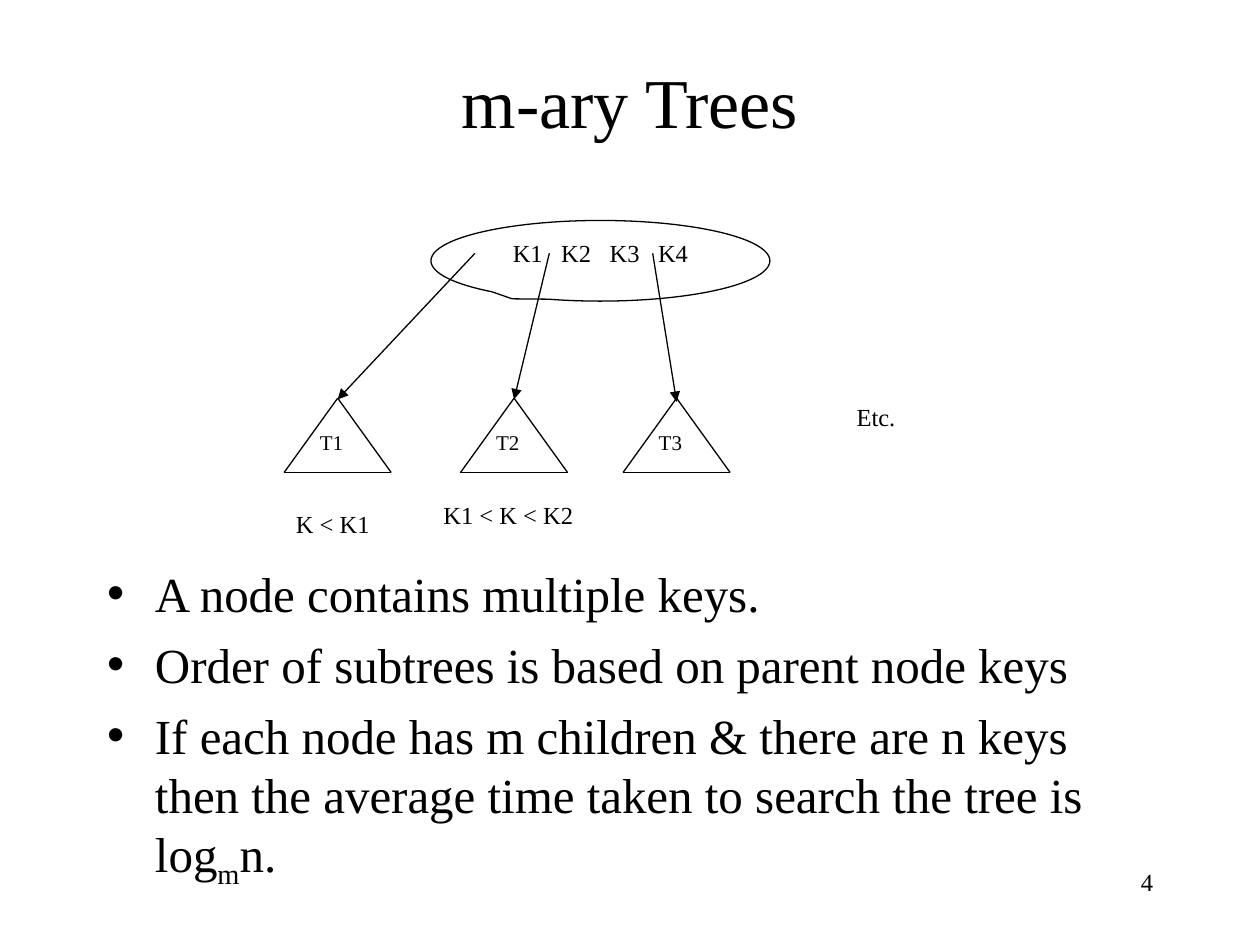
import pptx
import pptx.util
import pptx.dml.color
import pptx.enum.shapes
import pptx.enum.text
import pptx.oxml.ns
import lxml.etree

SHAPE = pptx.enum.shapes.MSO_SHAPE
ALIGN = pptx.enum.text.PP_ALIGN
ANCHOR = pptx.enum.text.MSO_ANCHOR
COLS, ROWS = 100, 75


def rgb(value):
    """Turn a hex string into a colour."""
    return pptx.dml.color.RGBColor.from_string(value)


def sub(parent, tag, **attrs):
    """Append a DrawingML child element."""
    return lxml.etree.SubElement(parent, pptx.oxml.ns.qn(tag), **attrs)


class Page:
    """Style and current slide, measured in grid columns and rows."""

    font, ink, paper, line_width = "Times New Roman", "000000", "FFFFFF", 0.74

    def __init__(self, prs):
        """Add a slide with title and body placeholders."""
        self.cell_w, self.cell_h = prs.slide_width / COLS, prs.slide_height / ROWS
        self.s = prs.slides.add_slide(prs.slide_layouts[1])

    def box(self, x, y, w, h):
        """Convert grid values to slide lengths."""
        return (round(x * self.cell_w), round(y * self.cell_h),
                round(w * self.cell_w), round(h * self.cell_h))

    def format(self, sp, size, align, anchor=ANCHOR.TOP):
        """Apply font, alignment and anchor to all text of a shape."""
        tf = sp.text_frame
        tf.word_wrap = True
        tf.auto_size = pptx.enum.text.MSO_AUTO_SIZE.NONE
        tf.vertical_anchor = anchor
        for p in tf.paragraphs:
            p.alignment = align
            for r in p.runs:
                r.font.name = self.font
                r.font.size = pptx.util.Pt(size)
                r.font.color.rgb = rgb(self.ink)

    def place(self, sp, x, y, w, h):
        """Move a placeholder onto the grid."""
        sp.left, sp.top, sp.width, sp.height = self.box(x, y, w, h)

    def title(self, text, *at):
        """Fill the title placeholder."""
        sp = self.s.shapes.title
        self.place(sp, *at)
        sp.text_frame.text = text
        self.format(sp, 40, ALIGN.CENTER, ANCHOR.MIDDLE)

    def bullets(self, items, *at):
        """Fill the body placeholder; an item is a list of (text, baseline)."""
        sp = self.s.placeholders[1]
        self.place(sp, *at)
        tf = sp.text_frame
        for i, item in enumerate(items):
            p = tf.add_paragraph() if i else tf.paragraphs[0]
            p.space_before = pptx.util.Pt(7)
            indent = pptx.util.Inches(0.38)
            pPr = p._p.get_or_add_pPr()
            pPr.set("marL", str(indent))
            pPr.set("indent", str(-indent))
            sub(pPr, "a:buChar", char="\u2022")
            for text, baseline in item:
                r = p.add_run()
                r.text = text
                if baseline:
                    r._r.get_or_add_rPr().set("baseline", str(baseline * 1000))
        self.format(sp, 28, ALIGN.LEFT)

    def label(self, text, *at, size=14, align=ALIGN.LEFT):
        """Add a text box."""
        sp = self.s.shapes.add_textbox(*self.box(*at))
        sp.text_frame.text = text
        self.format(sp, size, align)

    def node(self, keys, *at):
        """Add the callout ellipse with widely spaced keys."""
        sp = self.s.shapes.add_shape(SHAPE.OVAL_CALLOUT, *self.box(*at))
        sp.adjustments[0], sp.adjustments[1] = -0.26, 0.472
        sp.shadow.inherit = False
        sp.fill.solid()
        sp.fill.fore_color.rgb = rgb(self.paper)
        sp.line.color.rgb = rgb(self.ink)
        sp.line.width = pptx.util.Pt(self.line_width)
        p = sp.text_frame.paragraphs[0]
        for i, key in enumerate(keys):
            if i:
                gap = p.add_run()
                gap.text = " "
                gap._r.get_or_add_rPr().set("spc", "700")
            p.add_run().text = key
        self.format(sp, 14, ALIGN.CENTER)

    def line(self, start, end, arrow=False):
        """Draw a straight line, with an arrowhead at its end if asked."""
        x1, y1, x2, y2 = self.box(*start, *end)
        cn = self.s.shapes.add_connector(
            pptx.enum.shapes.MSO_CONNECTOR.STRAIGHT, x1, y1, x2, y2)
        cn.line.color.rgb = rgb(self.ink)
        cn.line.width = pptx.util.Pt(self.line_width)
        if arrow:
            sub(cn.line._get_or_add_ln(), "a:tailEnd", type="triangle")
        sub(cn._element.spPr, "a:effectLst")

    def subtree(self, name, x, y):
        """Draw a triangle below its apex and name it."""
        corners = [(x, y), (x + 4.25, y + 5.9), (x - 4.25, y + 5.9)]
        for i, corner in enumerate(corners):
            self.line(corner, corners[(i + 1) % 3])
        self.label(name, x - 2.4, y + 2, 4.7, 3.9, size=12)


def main():
    """Build the slide and save it."""
    prs = pptx.Presentation()
    prs.slide_width, prs.slide_height = pptx.util.Inches(10), pptx.util.Inches(7.5)
    page = Page(prs)
    page.title("m-ary Trees", 7.5, 1.7, 85, 12.5)
    page.bullets([
        [("A node contains multiple keys.", 0)],
        [("Order of subtrees is based on parent node keys", 0)],
        [("If each node has m children & there are n keys then the average "
          "time taken to search the tree is log", 0), ("m", -25), ("n.", 0)],
    ], 7.5, 44.2, 85, 26.7)
    page.node(["K1", "K2", "K3", "K4"], 34.2, 17.5, 26.9, 6.4)
    for name, start, apex, tip in [("T1", 37.7, 26.8, 31.7),
                                   ("T2", 43.6, 40.8, 31.7),
                                   ("T3", 51.8, 53.7, 31.9)]:
        page.subtree(name, apex, 31.6)
        page.line((start, 20.1), (apex, tip), arrow=True)
    page.label("Etc.", 67, 31.4, 10.5, 5.1)
    page.label("K < K1", 22.5, 39.9, 8.2, 3.9)
    page.label("K1 < K < K2", 34.2, 39.2, 17.5, 3.4)
    page.label("4", 71.7, 68.3, 20.8, 5, align=ALIGN.RIGHT)
    prs.save("out.pptx")


main()
